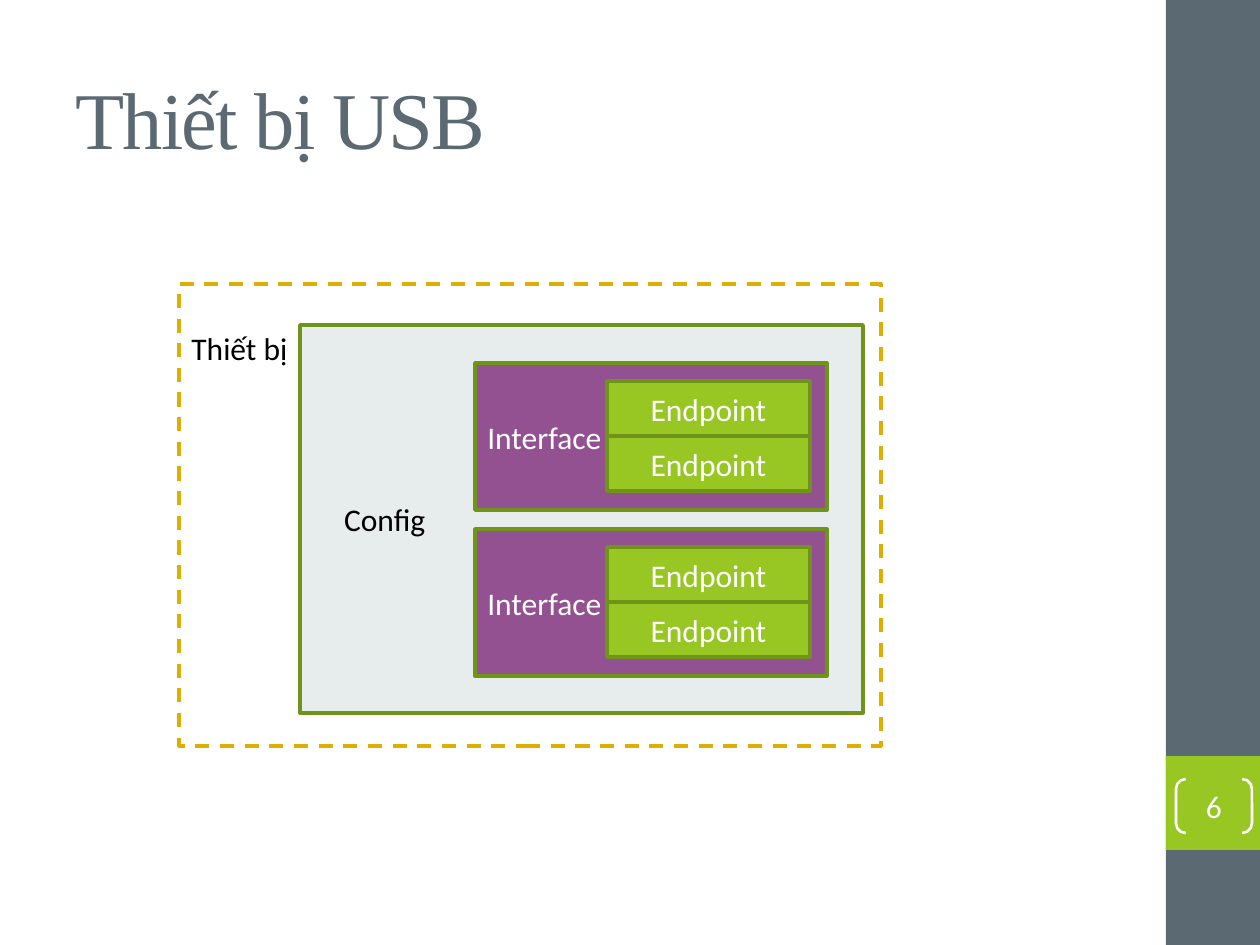
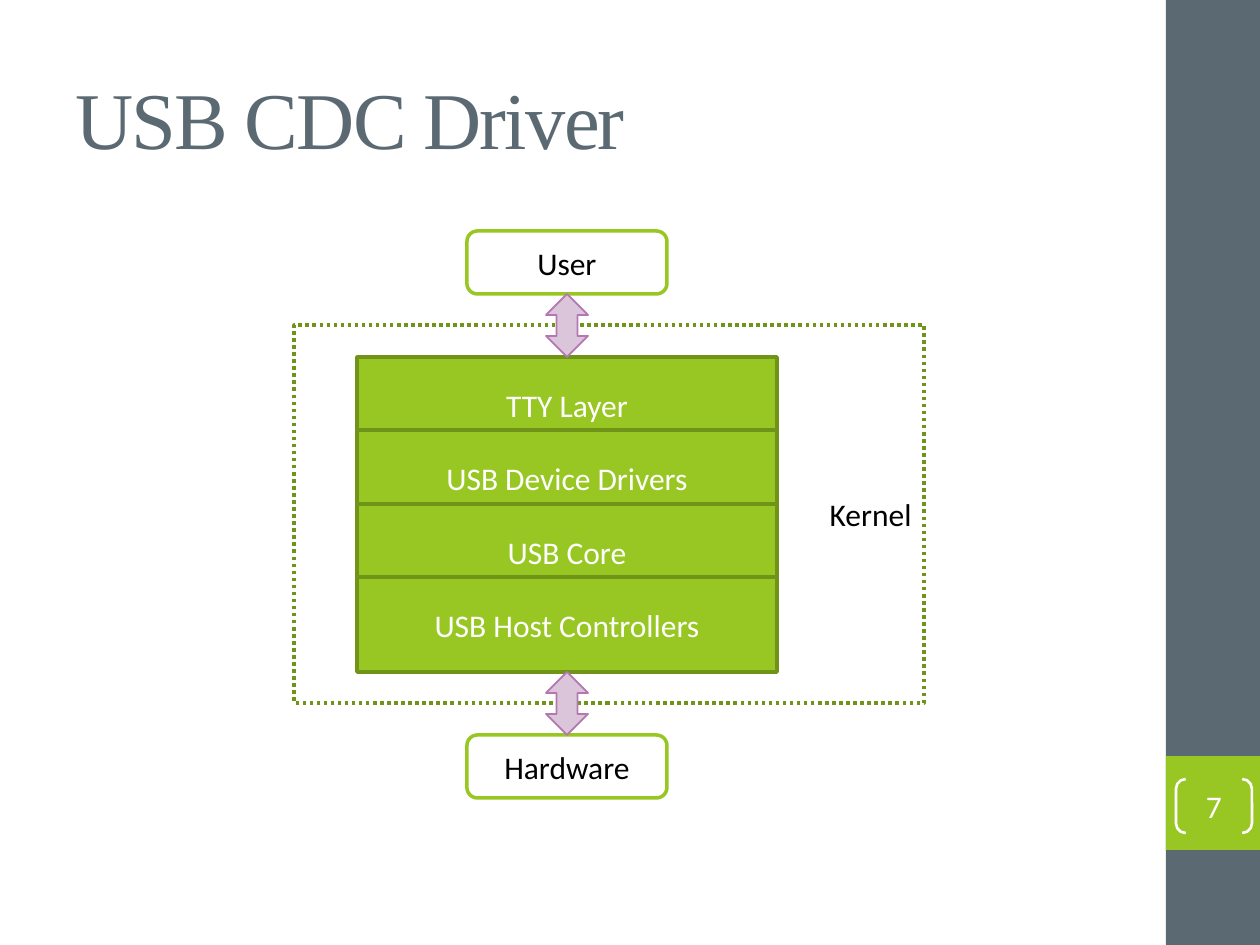
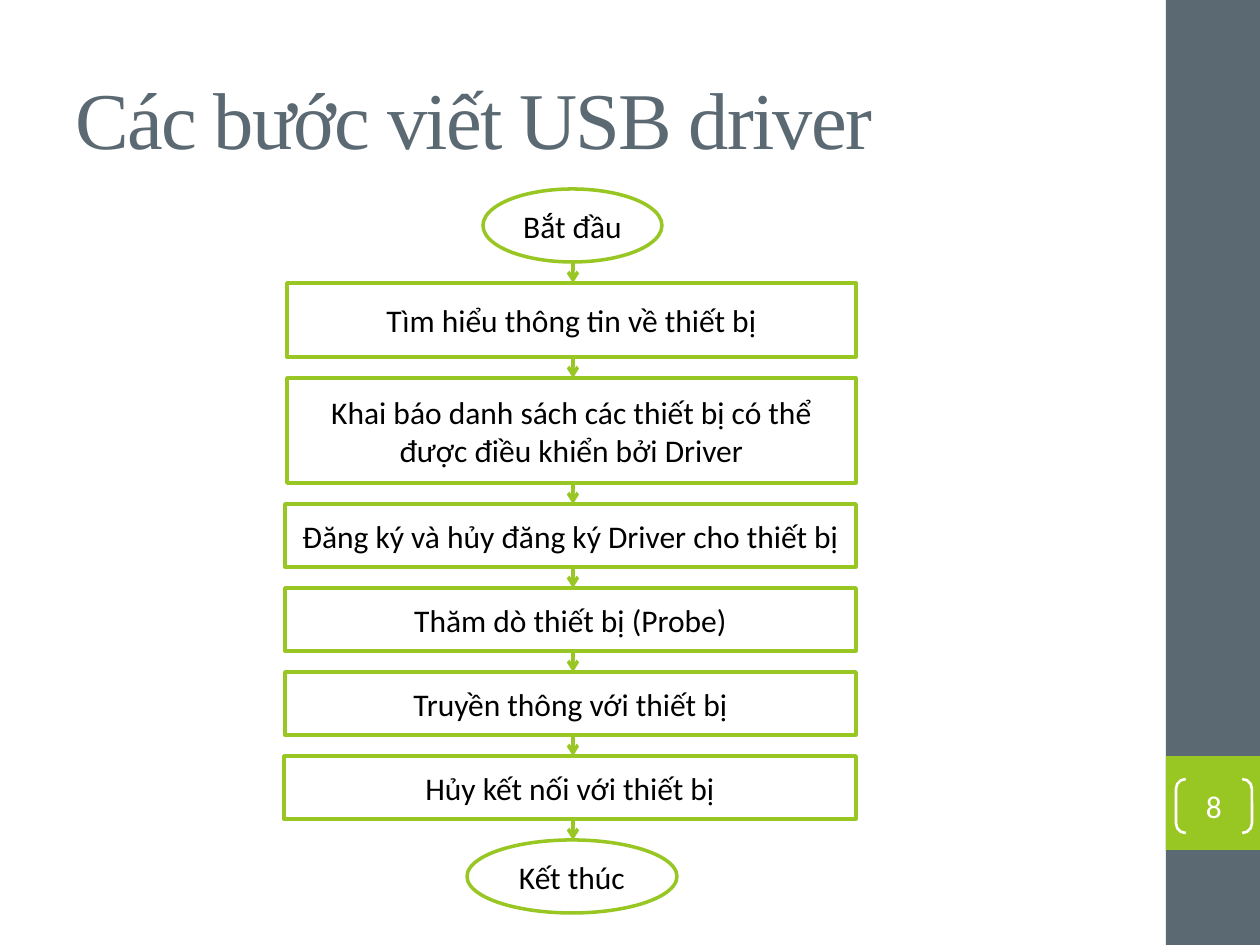
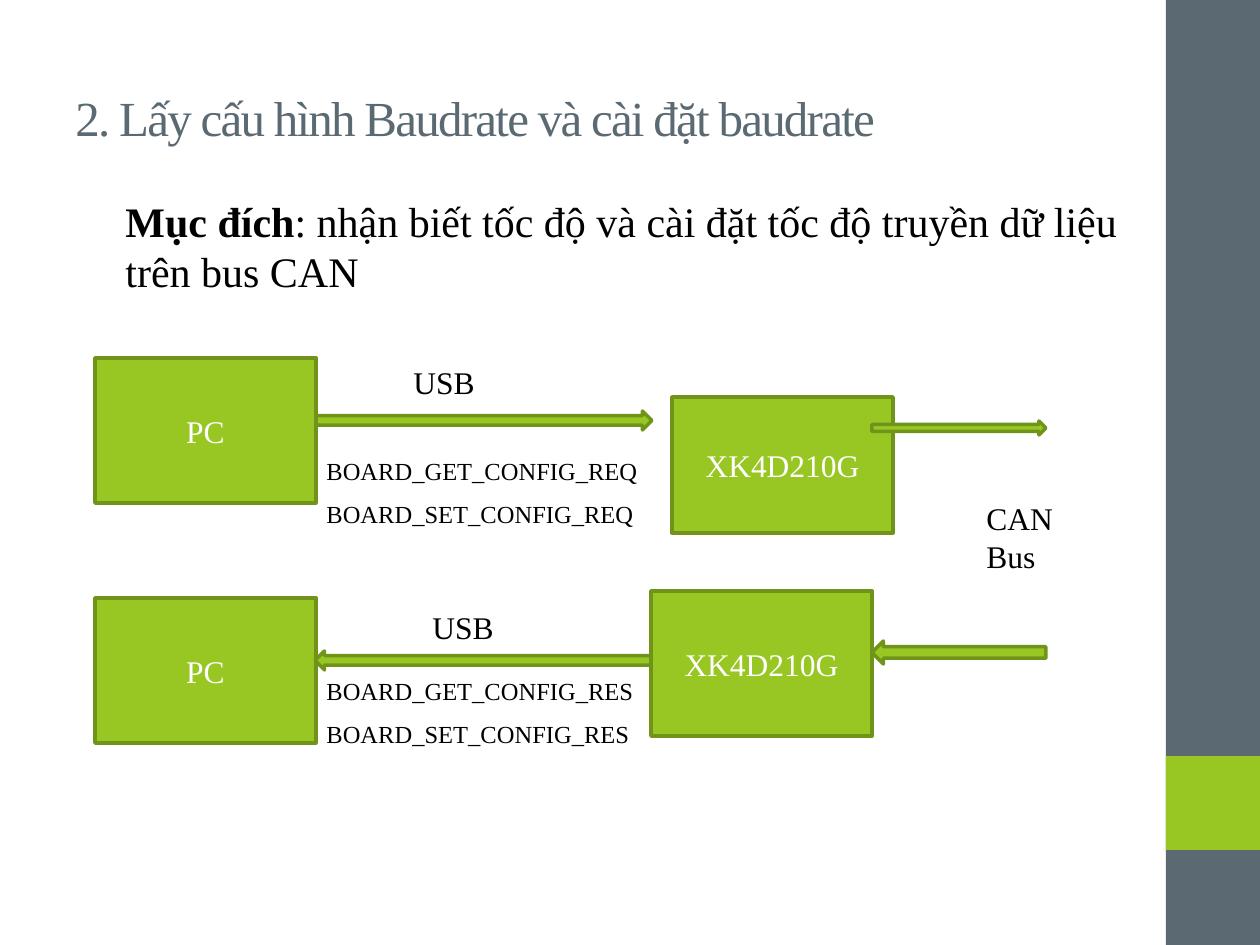
from dataclasses import dataclass

from lxml import etree
from pptx import Presentation
from pptx import util as u
from pptx.dml.color import RGBColor
from pptx.enum import dml, shapes, text
from pptx.oxml import ns

PX = u.Inches(1) / 126
S, D, A, V = shapes.MSO_SHAPE, dml.MSO_LINE, text.PP_ALIGN, text.MSO_ANCHOR


@dataclass(frozen=True)
class Theme:
    slate: str = "5B6973"
    lime: str = "98C723"
    olive: str = "70931A"
    gold: str = "DEAE00"
    mist: str = "E7ECED"
    plum: str = "945191"
    mauve: str = "B477B1"
    lilac: str = "DBC5DA"
    white: str = "FFFFFF"
    black: str = "000000"
    sans: str = "Calibri"
    serif: str = "Times New Roman"
    title: int = 46
    subtitle: int = 28
    lead: int = 24
    body: int = 18
    small: int = 14


T = Theme()

# Shape looks: fill, line, line width in points, dash, text colour
LIME = (T.lime, T.olive, 2, None, T.white)
PLUM = (T.plum, T.olive, 2, None, T.white)
MIST = (T.mist, T.olive, 2, None, T.black)
OUTLINE = (T.white, T.lime, 2, None, T.black)
DEVICE = (T.white, T.gold, 2, D.DASH, T.black)
KERNEL = (T.white, T.olive, 2, D.ROUND_DOT, T.black)
LILAC = (T.lilac, T.mauve, 1, None, T.black)
BRACKET = (None, T.white, 1.5, None, T.white)

# Bands on every slide: colour, (left, top, width, height) in px
BANDS = [(T.slate, (1166, 0, 94, 945)), (T.lime, (1166, 756, 94, 94))]
TITLE_BOX = (63, 38, 1050, 158)
WIDE_TITLE_BOX = (63, 38, 1176, 158)
NUMBER_BOX = (1176, 779, 76, 54)

INTERFACES = [("Interface", ["Endpoint", "Endpoint"]),
              ("Interface", ["Endpoint", "Endpoint"])]
LAYERS = ["TTY Layer", "USB Device Drivers", "USB Core", "USB Host Controllers"]
ENDS = [("User", 231, 294), ("Hardware", 735, 672)]  # label, box top, arrow top

# Shape, label, left, right, height
STEPS = [
    (S.OVAL, "Bắt đầu", 483, 662, 73),
    (S.RECTANGLE, "Tìm hiểu thông tin về thiết bị", 287, 856, 74),
    (S.RECTANGLE, "Khai báo danh sách các thiết bị có thể được điều khiển bởi Driver",
     287, 856, 105),
    (S.RECTANGLE, "Đăng ký và hủy đăng ký Driver cho thiết bị", 285, 856, 63),
    (S.RECTANGLE, "Thăm dò thiết bị (Probe)", 285, 856, 63),
    (S.RECTANGLE, "Truyền thông với thiết bị", 285, 856, 63),
    (S.RECTANGLE, "Hủy kết nối với thiết bị", 284, 856, 63),
    (S.OVAL, "Kết thúc", 467, 677, 73),
]

PURPOSE = ["Mục đích", ": nhận biết tốc độ và cài đặt tốc độ truyền dữ liệu trên bus CAN"]
NODES = [
    ("XK4D210G", (672, 397, 221, 136)),
    ("PC", (95, 358, 221, 145)),
    ("PC", (95, 598, 221, 145)),
    ("XK4D210G", (651, 591, 221, 145)),
]
FLOWS = [
    (S.RIGHT_ARROW, (316, 411, 336, 19)),
    (S.RIGHT_ARROW, (872, 421, 174, 14)),
    (S.LEFT_ARROW, (315, 651, 336, 19)),
    (S.LEFT_ARROW, (872, 641, 174, 23)),
]
CAPTIONS = [
    ("USB", T.body, (401, 357, 105, 54)),
    ("USB", T.body, (420, 602, 105, 54)),
    ("CAN Bus", T.body, (974, 493, 143, 94)),
    ("BOARD_GET_CONFIG_REQ", T.small, (314, 450, 359, 45)),
    ("BOARD_SET_CONFIG_REQ", T.small, (314, 493, 359, 45)),
    ("BOARD_GET_CONFIG_RES", T.small, (314, 670, 336, 45)),
    ("BOARD_SET_CONFIG_RES", T.small, (314, 713, 336, 45)),
]


def emu(*px):
    return [u.Emu(round(n * PX)) for n in px]


def rgb(code):
    return RGBColor.from_string(code)


def put_text(sp, words, color, font, size, align, anchor):
    """Fill a shape with one paragraph; a list of words becomes its runs."""
    tf = sp.text_frame
    tf.word_wrap = True
    tf.vertical_anchor = anchor
    p = tf.paragraphs[0]
    p.alignment = align
    for word in [words] if isinstance(words, str) else words:
        r = p.add_run()
        r.text = word
        r.font.name, r.font.size = font, u.Pt(size)
        r.font.color.rgb = rgb(color)
    return tf


def box(s, kind, at, look, label="", font=T.sans, align=A.CENTER, anchor=V.MIDDLE):
    fill, line, width, dash, color = look
    sp = s.shapes.add_shape(kind, *emu(*at))
    sp.shadow.inherit = False
    if fill:
        sp.fill.solid()
        sp.fill.fore_color.rgb = rgb(fill)
    else:
        sp.fill.background()
    if line:
        sp.line.color.rgb = rgb(line)
        sp.line.width = u.Pt(width)
        if dash:
            sp.line.dash_style = dash
    else:
        sp.line.fill.background()
    if label:
        put_text(sp, label, color, font, T.body, align, anchor)
    return sp


def caption(s, words, size, at, color=T.black, anchor=V.TOP):
    sp = s.shapes.add_textbox(*emu(*at))
    return put_text(sp, words, color, T.serif, size, A.LEFT, anchor)


def arrow(s, x, top, bottom):
    cn = s.shapes.add_connector(shapes.MSO_CONNECTOR.STRAIGHT, *emu(x, top, x, bottom))
    cn.line.color.rgb = rgb(T.lime)
    cn.line.width = u.Pt(2)
    etree.SubElement(cn.line._get_or_add_ln(), ns.qn("a:tailEnd"), type="arrow")
    etree.SubElement(cn.element.spPr, ns.qn("a:effectLst"))


def add_bands(s):
    """Draw the bands and hand them to the layout, so every slide shows them."""
    for color, at in BANDS:
        band = box(s, S.RECTANGLE, at, (color, None, 0, None, T.white))
        s.slide_layout.shapes.element.append(band.element)


def new_slide(prs, title, number=None, size=T.title, at=TITLE_BOX):
    s = prs.slides.add_slide(prs.slide_layouts[6])
    tf = caption(s, title, size, at, T.slate, V.MIDDLE)
    tf.paragraphs[0].runs[0].font._element.set("spc", "-100")
    if number:
        sp = box(s, S.DOUBLE_BRACKET, NUMBER_BOX, BRACKET, str(number))
        sp.adjustments[0] = 0.18
        tf = sp.text_frame
        tf.margin_left = tf.margin_right = tf.margin_top = tf.margin_bottom = 0
    return s


def device_slide(prs):
    s = new_slide(prs, "Thiết bị USB", 6)
    add_bands(s)
    device = box(s, S.RECTANGLE, (179, 284, 702, 462), DEVICE, "Thiết bị",
                 align=A.LEFT, anchor=V.TOP)
    device.text_frame.margin_top = emu(45)[0]
    config = box(s, S.RECTANGLE, (300, 325, 563, 388), MIST, "Config", align=A.LEFT)
    config.text_frame.margin_left = emu(44)[0]
    for i, (interface, endpoints) in enumerate(INTERFACES):
        top = 363 + 166 * i
        box(s, S.RECTANGLE, (475, top, 352, 147), PLUM, interface, align=A.LEFT)
        for j, endpoint in enumerate(endpoints):
            box(s, S.RECTANGLE, (607, top + 18 + 55 * j, 203, 55), LIME, endpoint)


def driver_slide(prs):
    s = new_slide(prs, "USB CDC Driver", 7)
    box(s, S.RECTANGLE, (294, 325, 630, 378), KERNEL, "Kernel", align=A.RIGHT)
    for i, layer in enumerate(LAYERS):
        box(s, S.RECTANGLE, (357, 357 + 147 * i // 2, 420, 95), LIME, layer)
    for label, top, arrow_top in ENDS:
        box(s, S.ROUNDED_RECTANGLE, (467, top, 200, 63), OUTLINE, label)
        box(s, S.UP_DOWN_ARROW, (546, arrow_top, 42, 63), LILAC)


def steps_slide(prs, top=189, gap=21):
    s = new_slide(prs, "Các bước viết USB driver", 8)
    for i, (kind, label, left, right, height) in enumerate(STEPS):
        if i:
            arrow(s, 573, top - gap, top)
        box(s, kind, (left, top, right - left, height), OUTLINE, label)
        top += height + gap


def baudrate_slide(prs):
    s = new_slide(prs, "2. Lấy cấu hình Baudrate và cài đặt baudrate",
                  size=T.subtitle, at=WIDE_TITLE_BOX)
    tf = caption(s, PURPOSE, T.lead, (113, 189, 1029, 126))
    tf.paragraphs[0].runs[0].font.bold = True
    for label, at in NODES:
        box(s, S.RECTANGLE, at, LIME, label, font=T.serif)
    for kind, at in FLOWS:
        box(s, kind, at, LIME)
    for label, size, at in CAPTIONS:
        caption(s, label, size, at)


def main():
    prs = Presentation()
    prs.slide_width, prs.slide_height = emu(1260, 945)
    for build in (device_slide, driver_slide, steps_slide, baudrate_slide):
        build(prs)
    prs.save("out.pptx")


if __name__ == "__main__":
    main()
